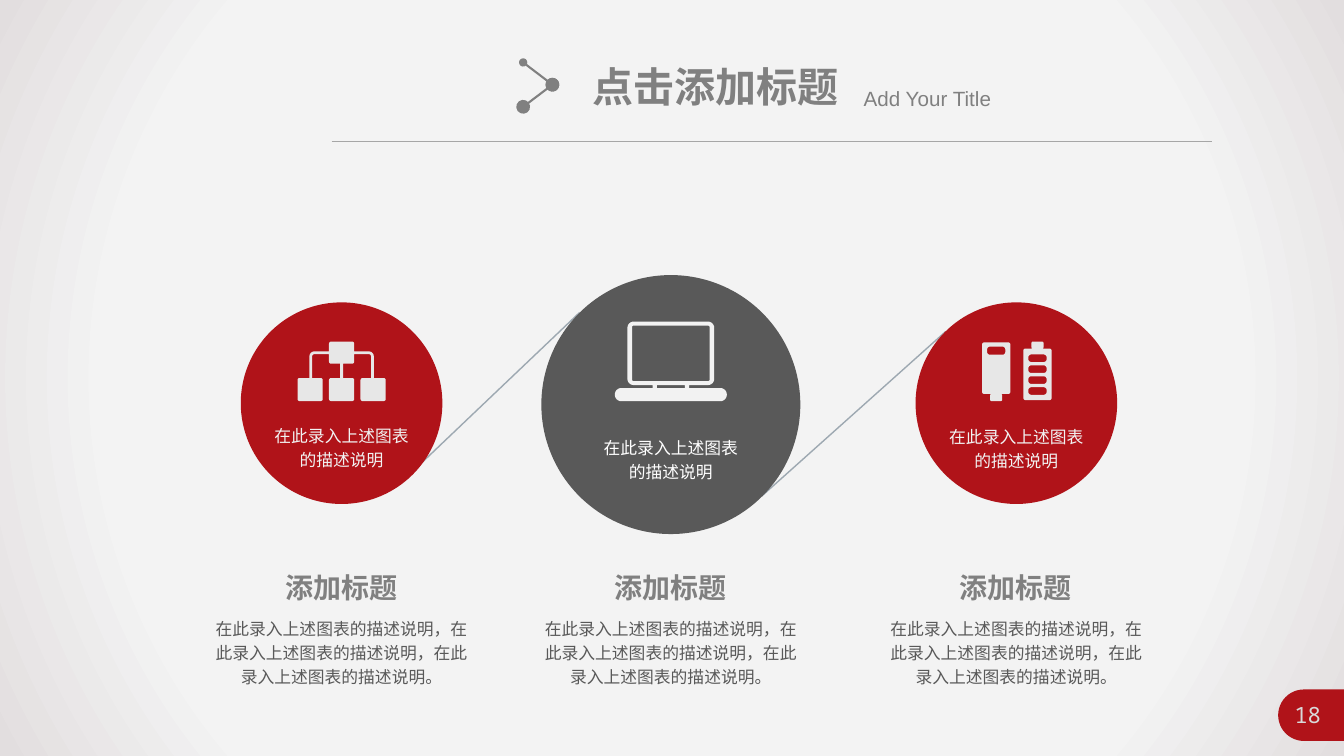
import math

from lxml import etree
from pptx import Presentation
from pptx import util as u
from pptx.dml import color
from pptx.enum import shapes, text
from pptx.oxml import ns, parse_xml

RED, DARK, GREY, PALE = "B01319", "595959", "808080", "E7E7E7"
CJK = "Noto Sans CJK SC"
CAPTION = "在此录入上述图表的描述说明"
BODY = "，".join([CAPTION] * 3) + "。"


def rgb(value):
    return color.RGBColor.from_string(value)


def paint(shape, fill):
    shape.shadow.inherit = False
    shape.fill.solid()
    shape.fill.fore_color.rgb = rgb(fill)
    shape.line.fill.background()


def write(box, place, words, size, fill, font=CJK, bold=False, centre=True, wrap=True, spacing=1):
    box.left, box.top, box.width, box.height = map(u.Pt, place)
    frame = box.text_frame
    frame.text = words
    frame.word_wrap = wrap
    frame.auto_size = text.MSO_AUTO_SIZE.SHAPE_TO_FIT_TEXT
    frame.vertical_anchor = text.MSO_ANCHOR.TOP
    para = frame.paragraphs[0]
    para.alignment = text.PP_ALIGN.CENTER if centre else text.PP_ALIGN.LEFT
    para.line_spacing = spacing
    span = para.runs[0]
    span.font.size, span.font.bold, span.font.name = u.Pt(size), bold, font
    span.font.color.rgb = rgb(fill)
    east = etree.SubElement(span.font._element, ns.qn("a:ea"))
    east.set("typeface", CJK)


def add_text(page, place, *args, **kwargs):
    write(page.shapes.add_textbox(*map(u.Pt, place)), place, *args, **kwargs)


def add_line(page, start, end, fill, width, ovals=()):
    line = page.shapes.add_connector(
        shapes.MSO_CONNECTOR.STRAIGHT, *map(u.Pt, (*start, *end)))
    line.line.color.rgb = rgb(fill)
    line.line.width = u.Pt(width)
    properties = line.element.spPr
    etree.SubElement(properties, ns.qn("a:effectLst"))
    for end_name, size in zip(("a:headEnd", "a:tailEnd"), ovals):
        mark = etree.SubElement(properties.find(ns.qn("a:ln")), ns.qn(end_name))
        for key, value in (("type", "oval"), ("w", size), ("len", size)):
            mark.set(key, value)


def add_backdrop(page):
    panel = page.shapes.add_shape(shapes.MSO_SHAPE.RECTANGLE, 0, 0, u.Pt(960), u.Pt(540))
    paint(panel, "F3F3F3")
    stops = "".join(
        f'<a:gs pos="{place * 1000}"><a:srgbClr val="{fill}"/></a:gs>'
        for place, fill in ((0, "F5F5F5"), (73, "F3F3F3"), (100, "E2DEDF")))
    gradient = parse_xml(
        f'<a:gradFill {ns.nsdecls("a")} rotWithShape="1"><a:gsLst>{stops}</a:gsLst>'
        '<a:path path="circle"><a:fillToRect l="50000" t="50000" r="50000" b="50000"/>'
        '</a:path></a:gradFill>')
    properties = panel.element.spPr
    properties.replace(properties.find(ns.qn("a:solidFill")), gradient)
    page.shapes.title.element.addprevious(panel.element)


def arc(x, y, radius, start, end, steps=6):
    angles = [math.radians(start + (end - start) * i / steps) for i in range(steps + 1)]
    return [(x + radius * math.cos(a), y + radius * math.sin(a)) for a in angles]


def rounded(left, top, right, bottom, radius=0):
    if not radius:
        return [(left, top), (right, top), (right, bottom), (left, bottom)]
    l, t, r, b = left + radius, top + radius, right - radius, bottom - radius
    corners = ((l, t, 180), (r, t, 270), (r, b, 0), (l, b, 90))
    return [point for x, y, turn in corners for point in arc(x, y, radius, turn, turn + 90)]


def add_outline(page, contours, fill, x=0, y=0):
    builder = None
    for contour in contours:
        points = [(u.Pt(x + px), u.Pt(y + py)) for px, py in contour]
        if builder is None:
            builder = page.shapes.build_freeform(*points[0])
        else:
            builder.move_to(*points[0])
        builder.add_line_segments(points[1:], close=True)
    paint(builder.convert_to_shape(), fill)


def network_icon():
    arm = [(9, 7), *arc(19.5, 10.5, 3.5, -90, 0), (23, 26), (21, 26),
           *arc(19.5, 10.5, 1.5, 0, -90), (9, 9)]
    leaves = [rounded(x - 9, 26, x + 9, 42.5, 1.5) for x in (-22.5, 0, 22.5)]
    return [rounded(-9, 0, 9, 15.8, 1.5), rounded(-1.1, 15.8, 1.1, 26),
            arm, [(-x, y) for x, y in arm], *leaves]


def laptop_icon():
    feet = [rounded(x, 45.4, x + 3, 47.5) for x in (-13, 10)]
    return [rounded(-31, 0, 31, 45.4, 4.5), rounded(-27.7, 2.9, 27.7, 42.5, 1),
            rounded(-40, 47.5, 40, 56.9, 4.6), *feet]


def battery_icon():
    cells = [rounded(8.6, 9.2 + 7.8 * i, 21.6, 14.6 + 7.8 * i, 2) for i in range(4)]
    return [rounded(5, 5, 25.2, 41.8, 1.5), rounded(10.8, 0, 19.4, 5, 1), *cells,
            rounded(-24.5, 0.6, -4.3, 37.4, 1.5), rounded(-18.7, 37.4, -10.1, 42.5, 1),
            rounded(-20.9, 3.6, -7.9, 9.4, 2)]


def add_column(page, x, y, diameter, fill, icon, icon_top, icon_fill, caption_top, caption_fill):
    radius = diameter / 2
    circle = page.shapes.add_shape(
        shapes.MSO_SHAPE.OVAL, *map(u.Pt, (x - radius, y - radius, diameter, diameter)))
    paint(circle, fill)
    add_outline(page, icon, icon_fill, x, icon_top)
    add_text(page, (x - 60, caption_top, 120, 42.5), CAPTION, 12, caption_fill, spacing=1.2)
    add_text(page, (x - 47.5, 404, 95, 31.7), "添加标题", 20, GREY,
             bold=True, centre=False, wrap=False)
    add_text(page, (x - 98, 435.6, 196, 59.8), BODY, 12, DARK, spacing=1.2)


def add_heading(page):
    write(page.shapes.title, (416.2, 40.3, 192.2, 42.5), "点击添加标题", 29.3, GREY,
          font="Arial", bold=True, centre=False, wrap=False)
    add_text(page, (609.8, 57.6, 181.4, 25.2), "Add Your Title", 14.7, GREY,
             font="Arial", centre=False)
    tip = (394.6, 60.5)
    add_line(page, (373.7, 44.6), tip, GREY, 1.5, ("med", "lg"))
    add_line(page, tip, (373.7, 76.3), GREY, 1.5, ("lg", "lg"))
    add_line(page, (236.9, 100.8), (865.4, 100.8), "A6A6A6", 0.5)


def add_page_number(page):
    tab = [*arc(931.4, 510.9, 18.4, 90, 270, 24), (960, 492.5), (960, 529.3)]
    add_outline(page, [tab], RED)
    add_text(page, (910.4, 497.5, 47.5, 26.6), "18", 16, "D9D9D9", font="Noto Sans Mono")


def main():
    deck = Presentation()
    deck.slide_width, deck.slide_height = u.Pt(960), u.Pt(540)
    page = deck.slides.add_slide(deck.slide_layouts[5])
    add_backdrop(page)
    add_heading(page)
    add_page_number(page)
    add_line(page, (293, 338.4), (414, 223.2), "9DA8B1", 1)
    add_line(page, (544.3, 354.2), (675.4, 236.9), "9DA8B1", 1)
    add_column(page, 244, 288, 144, RED, network_icon(), 244, PALE, 297.4, "F2F2F2")
    add_column(page, 479.2, 289, 185, DARK, laptop_icon(), 229.7, "F2F2F2", 306, "FFFFFF")
    add_column(page, 726, 288, 144, RED, battery_icon(), 244, PALE, 298.1, "F2F2F2")
    deck.save("out.pptx")


if __name__ == "__main__":
    main()
